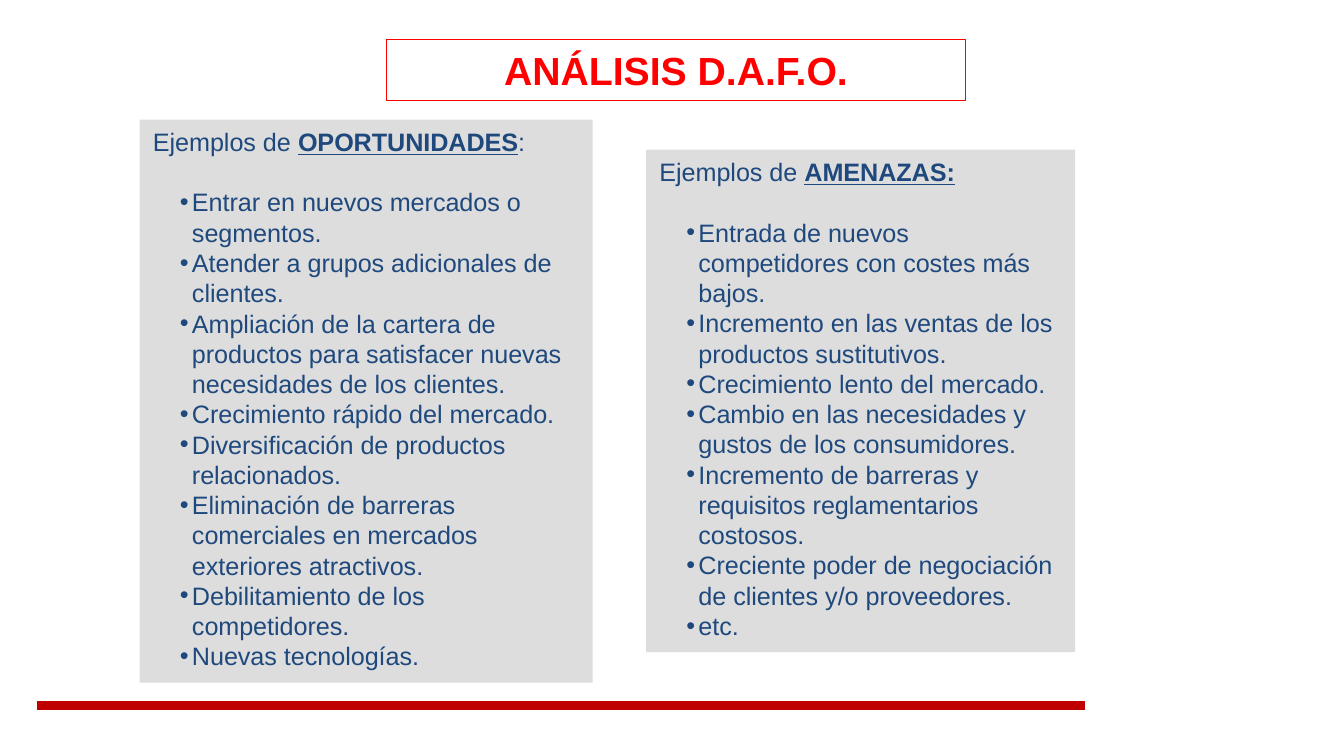
"""Build the SWOT slide with examples of opportunities and threats."""
from lxml.etree import SubElement as Sub
from pptx import Presentation
from pptx.dml.color import RGBColor as RGB
from pptx.enum.shapes import MSO_CONNECTOR as Conn, MSO_SHAPE as Shape
from pptx.enum.text import MSO_ANCHOR as Anchor, PP_ALIGN as Align
from pptx.oxml.ns import qn
from pptx.util import Pt


def tint(code):
    return RGB.from_string(code)


def put(par, text, color, **form):
    run = par.add_run()
    run.text = text
    run.font.color.rgb = tint(color)
    for key, val in form.items():
        setattr(run.font, key, val)


RED, BLUE, GREY, DARK = "FF0000", "1F497D", "DDDDDD", "C00000"
HEAD = {"name": "Arial", "size": Pt(21), "bold": True}
BODY = {"name": "Arial", "size": Pt(13.5)}
MARK = {"bold": True, "underline": True}
STEP = Pt(16.2)

panels = [
    ((74.9, 64.1, 242.6, 301.6), "OPORTUNIDADES", ":", [
        "Entrar en nuevos mercados o segmentos.",
        "Atender a grupos adicionales de clientes.",
        "Ampliación de la cartera de productos para satisfacer nuevas "
        "necesidades de los clientes.",
        "Crecimiento rápido del mercado.",
        "Diversificación de productos relacionados.",
        "Eliminación de barreras comerciales en mercados exteriores "
        "atractivos.",
        "Debilitamiento de los competidores.",
        "Nuevas tecnologías.",
    ]),
    ((346.2, 80.2, 229.8, 269.2), "AMENAZAS:", "", [
        "Entrada de nuevos competidores con costes más bajos.",
        "Incremento en las ventas de los productos sustitutivos.",
        "Crecimiento lento del mercado.",
        "Cambio en las necesidades y gustos de los consumidores.",
        "Incremento de barreras y requisitos reglamentarios costosos.",
        "Creciente poder de negociación de clientes y/o proveedores.",
        "etc.",
    ]),
]

deck = Presentation()
deck.slide_width, deck.slide_height = Pt(720), Pt(405)
slide = deck.slides.add_slide(deck.slide_layouts[6])
shapes = slide.shapes

title = shapes.add_shape(Shape.RECTANGLE, Pt(207), Pt(21.2), Pt(310.3), Pt(32.5))
title.shadow.inherit = False
title.fill.background()
title.line.color.rgb = tint(RED)
title.line.width = Pt(0.75)
title.text_frame.vertical_anchor = Anchor.MIDDLE
par = title.text_frame.paragraphs[0]
par.alignment = Align.CENTER
put(par, "ANÁLISIS D.A.F.O.", RED, **HEAD)

for area, topic, tail, items in panels:
    panel = shapes.add_shape(Shape.RECTANGLE, *map(Pt, area))
    panel.shadow.inherit = False
    panel.fill.solid()
    panel.fill.fore_color.rgb = tint(GREY)
    panel.line.fill.background()
    frame = panel.text_frame
    frame.word_wrap = True
    frame.vertical_anchor = Anchor.TOP
    lead = frame.paragraphs[0]
    lead.space_after = STEP
    put(lead, "Ejemplos de ", BLUE, **BODY)
    put(lead, topic, BLUE, **BODY, **MARK)
    if tail:
        put(lead, tail, BLUE, **BODY)
    for item in items:
        par = frame.add_paragraph()
        par.level = 1
        props = par._p.get_or_add_pPr()
        props.set("marL", str(Pt(20.9)))
        props.set("indent", str(Pt(-6.5)))
        Sub(props, qn("a:buFont"), typeface="Arial")
        Sub(props, qn("a:buChar"), char="•")
        put(par, item, BLUE, **BODY)
    for par in frame.paragraphs:
        par.alignment = Align.LEFT
        par.line_spacing = STEP

rule = shapes.add_connector(Conn.STRAIGHT, Pt(20), Pt(378), Pt(581), Pt(378))
rule.line.color.rgb = tint(DARK)
rule.line.width = Pt(4.5)
Sub(rule._element.spPr, qn("a:effectLst"))

deck.save("out.pptx")
